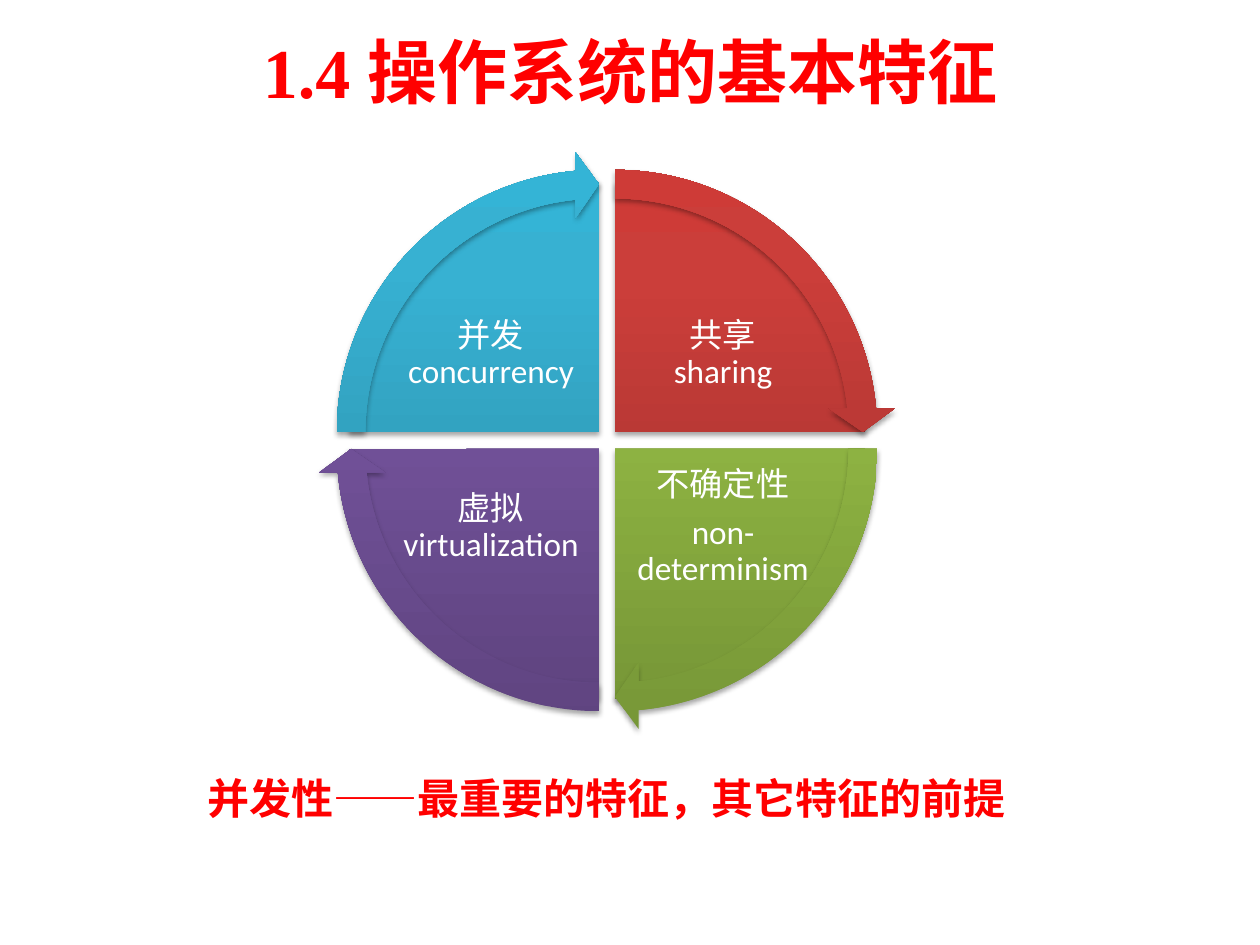
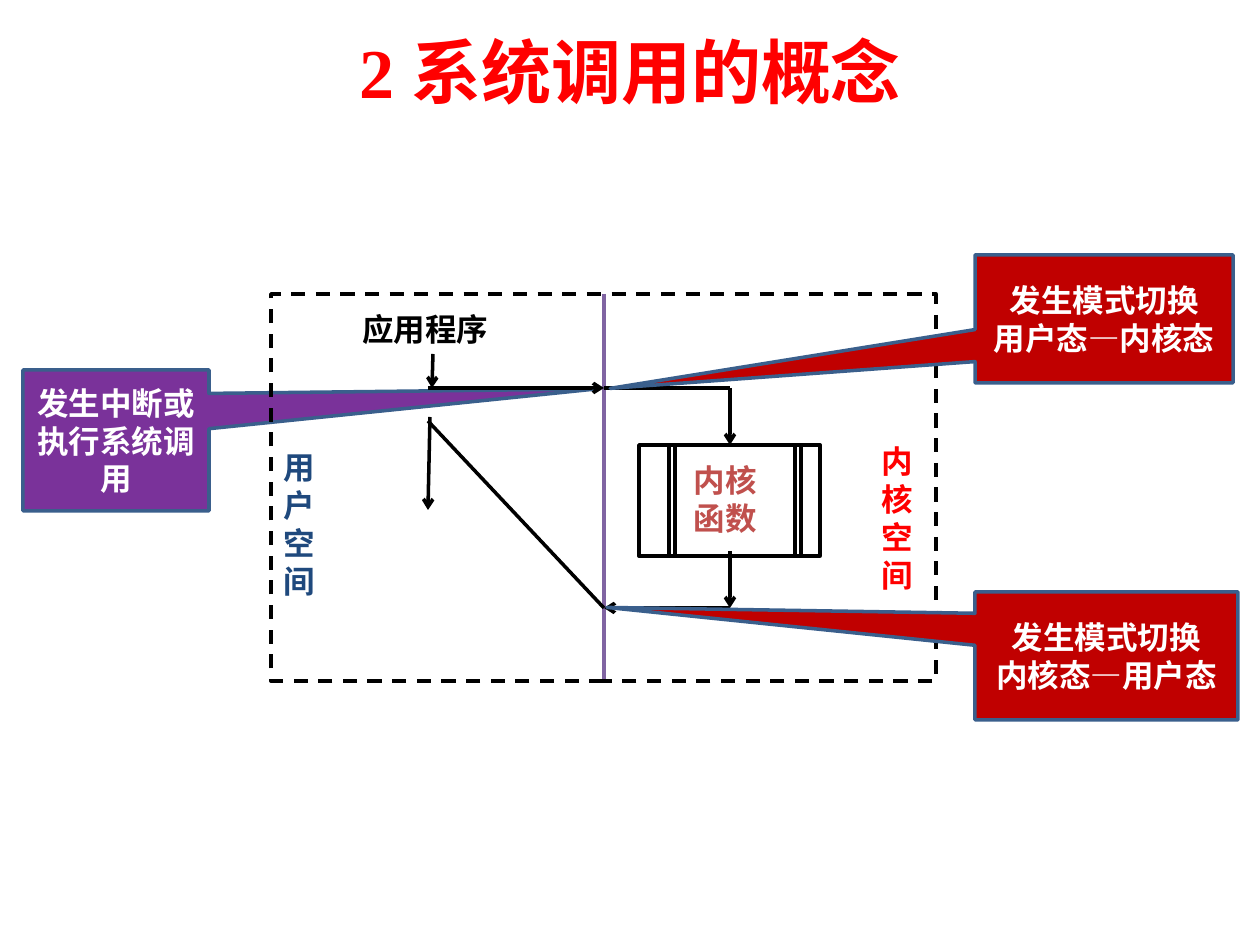
import copy

import pptx
import pptx.dml.color
import pptx.enum.dml
import pptx.enum.shapes
import pptx.enum.text
import pptx.oxml
import pptx.oxml.ns
import pptx.util

RGB = pptx.dml.color.RGBColor
SHAPE = pptx.enum.shapes.MSO_SHAPE
ALIGN = pptx.enum.text.PP_ALIGN
MIDDLE = pptx.enum.text.MSO_ANCHOR.MIDDLE
Pt = pptx.util.Pt

PX = 914400 / 126
RED = RGB(0xFF, 0x00, 0x00)
WHITE = RGB(0xFF, 0xFF, 0xFF)
BLACK = RGB(0x00, 0x00, 0x00)
VIOLET = RGB(0x7A, 0x32, 0x9A)
CRIMSON = RGB(0xC0, 0x00, 0x00)
EDGE = RGB(0x3A, 0x5F, 0x8C)
BRICK = RGB(0xC0, 0x50, 0x4D)
LILAC = RGB(0x80, 0x64, 0xA2)
NAVY = RGB(0x1F, 0x49, 0x7D)

SERIF = "Times New Roman"
SANS = "Calibri"
PLAIN = "Arial"

# Text and gradient colours of the quarters, clockwise from the top right
QUARTERS = [
    ("共享\vsharing",
     (RGB(0x9C, 0x2F, 0x2D), RGB(0xCB, 0x3E, 0x3A), RGB(0xCE, 0x3B, 0x37))),
    ("不确定性\nnon-determinism",
     (RGB(0x77, 0x97, 0x37), RGB(0x9B, 0xC3, 0x48), RGB(0x9D, 0xC7, 0x46))),
    ("虚拟\vvirtualization",
     (RGB(0x5F, 0x44, 0x80), RGB(0x7B, 0x58, 0xA6), RGB(0x7C, 0x57, 0xA8))),
    ("并发\vconcurrency",
     (RGB(0x2A, 0x88, 0xA2), RGB(0x37, 0xB1, 0xD2), RGB(0x34, 0xB4, 0xD6))),
]
TURN = 54  # a quarter turn in adjustment units
PIE = 500
RIM = 31   # how far an arrow's box reaches past its pie


def px(*sizes):
    return [round(size * PX) for size in sizes]


def make(tag, **attrs):
    node = pptx.oxml.parse_xml(f"<a:{tag} {pptx.oxml.ns.nsdecls('a')}/>")
    for key, value in attrs.items():
        node.set(key, str(value))
    return node


def style(frame, font, size, color, bold=True, align=None):
    for para in frame.paragraphs:
        para.alignment = align
        for run in para.runs:
            run.font.name = font
            run.font.size = Pt(size)
            run.font.bold = bold
            run.font.color.rgb = color


def add_title(deck, text):
    """Add a title-only slide and return it."""
    slide = deck.slides.add_slide(deck.slide_layouts[5])
    title = slide.shapes.title
    title.left, title.top, title.width, title.height = px(63, 6, 1134, 129)
    title.text_frame.text = text
    title.text_frame.vertical_anchor = MIDDLE
    style(title.text_frame, SERIF, 40, RED, align=ALIGN.CENTER)
    return slide


def add_text(slide, box, text, font, size, color, bold=True, align=None):
    frame = slide.shapes.add_textbox(*px(*box)).text_frame
    frame.word_wrap = True
    frame.text = text
    style(frame, font, size, color, bold, align)
    return frame


def add_form(slide, kind, box, *tweaks):
    """Add a preset shape without shadow and set its adjustments."""
    form = slide.shapes.add_shape(kind, *px(*box))
    form.shadow.inherit = False
    for i, tweak in enumerate(tweaks):
        form.adjustments[i] = tweak
    return form


def add_frame(slide, box, dash=None):
    frame = add_form(slide, SHAPE.RECTANGLE, box)
    frame.fill.background()
    frame.line.color.rgb = BLACK
    frame.line.width = Pt(2)
    frame.line.dash_style = dash


def add_line(slide, ends, color=BLACK, arrow=False):
    line = slide.shapes.add_connector(
        pptx.enum.shapes.MSO_CONNECTOR.STRAIGHT, *px(*ends))
    line.line.color.rgb = color
    line.line.width = Pt(2)
    if arrow:
        line.line._get_or_add_ln().append(make("tailEnd", type="arrow"))
    line._element.spPr.append(make("effectLst"))


def add_callout(slide, box, tip, text, color):
    note = add_form(slide, SHAPE.RECTANGULAR_CALLOUT, box, *tip)
    note.fill.solid()
    note.fill.fore_color.rgb = color
    note.line.color.rgb = EDGE
    note.line.width = Pt(2)
    frame = note.text_frame
    frame.word_wrap = True
    frame.vertical_anchor = MIDDLE
    frame.text = text
    style(frame, SANS, 18, WHITE, align=ALIGN.CENTER)


def add_glow(form, colors):
    """Give a shape a three-stop upward gradient and a soft shadow."""
    form.line.fill.background()
    form.fill.gradient()
    form.fill.gradient_angle = 90
    stops = form._element.spPr.find(".//" + pptx.oxml.ns.qn("a:gsLst"))
    stops.append(copy.deepcopy(stops[-1]))
    for stop, place, color in zip(form.fill.gradient_stops, (0, 0.8, 1), colors):
        stop.position = place
        stop.color.rgb = color
    shade = make("outerShdw", blurRad=Pt(3.1), dist=Pt(1.8), dir=5400000,
                 rotWithShape=0)
    black = make("srgbClr", val="000000")
    black.append(make("alpha", val=35000))
    shade.append(black)
    form._element.spPr.find(pptx.oxml.ns.qn("a:effectLst")).append(shade)


def add_wheel(slide):
    rims = []
    for i, (text, colors) in enumerate(QUARTERS):
        right, low = i < 2, i in (1, 2)
        start = (3 + i) % 4 * TURN
        left, top = 349 + 16 * right, 182 + 17 * low
        pie = add_form(slide, SHAPE.PIE, (left, top, PIE, PIE),
                       start, (start + TURN) % (4 * TURN))
        add_glow(pie, colors)
        frame = add_text(slide, (399 + 232 * right, 286 + 173 * low, 184, 137),
                         text, SANS, 19, WHITE, False, ALIGN.CENTER)
        frame.vertical_anchor = MIDDLE
        frame.margin_left = frame.margin_right = px(4)[0]
        frame.margin_top = frame.margin_bottom = px(4)[0]
        for para in frame.paragraphs:
            para.line_spacing = 0.9
            para.space_after = Pt(7)
        rims.append((left - RIM, top - RIM, start, colors))
    for left, top, start, colors in rims:
        size = PIE + 2 * RIM
        rim = add_form(slide, SHAPE.CIRCULAR_ARROW, (left, top, size, size),
                       0.051, 3.275, start + 50.725, start, 0.059)
        add_glow(rim, colors)


def add_traits(deck):
    slide = add_title(deck, "1.4 操作系统的基本特征")
    frame = add_text(slide, (132, 756, 954, 69), "并发性", SERIF, 24, RED)
    para = frame.paragraphs[0]
    for part in ("——", "最重要的特征，其它特征的前提"):
        para.add_run().text = part
    style(frame, SERIF, 24, RED)
    para.runs[1].font.name = "Noto Sans CJK SC"
    para.line_spacing = 1.2
    para.level = 1
    props = para._p.get_or_add_pPr()
    props.set("marL", str(px(63)[0]))
    props.set("indent", "0")
    add_wheel(slide)


def add_calls(deck):
    slide = add_title(deck, "2 系统调用的概念")
    add_callout(slide, (23, 370, 186, 141), (2.581, -0.365),
                "发生中断或执行系统调用", VIOLET)
    add_text(slide, (350, 304, 166, 50), "应用程序", PLAIN, 18, BLACK)

    top, base = 445, 556
    add_frame(slide, (639, top, 181, base - top))
    for x in (669, 675, 795, 801):
        add_line(slide, (x, top, x, base))
    add_text(slide, (675, 455, 101, 91), "内核\n函数", PLAIN, 18, BRICK,
             align=ALIGN.CENTER)

    wall, app, core = 604, 428, 730
    call, back = 388, 608
    add_line(slide, (wall, 294, wall, 681), LILAC)
    add_text(slide, (869, 436, 48, 165), "内核空间", PLAIN, 18, RED)
    add_frame(slide, (271, 294, 665, 387), pptx.enum.dml.MSO_LINE.DASH)
    add_text(slide, (271, 442, 54, 165), "用户空间", PLAIN, 18, NAVY)

    for ends in ((433, 354, 432, call), (430, 417, app, 510),
                 (app, call, wall, call), (core, call, core, top),
                 (core, 551, core, back), (core, back, wall, back)):
        add_line(slide, ends, arrow=True)
    add_line(slide, (wall, call, core, call))
    add_line(slide, (app, 421, wall, back))

    add_callout(slide, (975, 255, 258, 128), (-1.914, 0.543),
                "发生模式切换\n用户态—内核态", CRIMSON)
    add_callout(slide, (975, 592, 263, 128), (-1.899, -0.379),
                "发生模式切换\n内核态—用户态", CRIMSON)


def main():
    deck = pptx.Presentation()
    deck.slide_width, deck.slide_height = px(1260, 945)
    add_traits(deck)
    add_calls(deck)
    deck.save("out.pptx")


if __name__ == "__main__":
    main()
